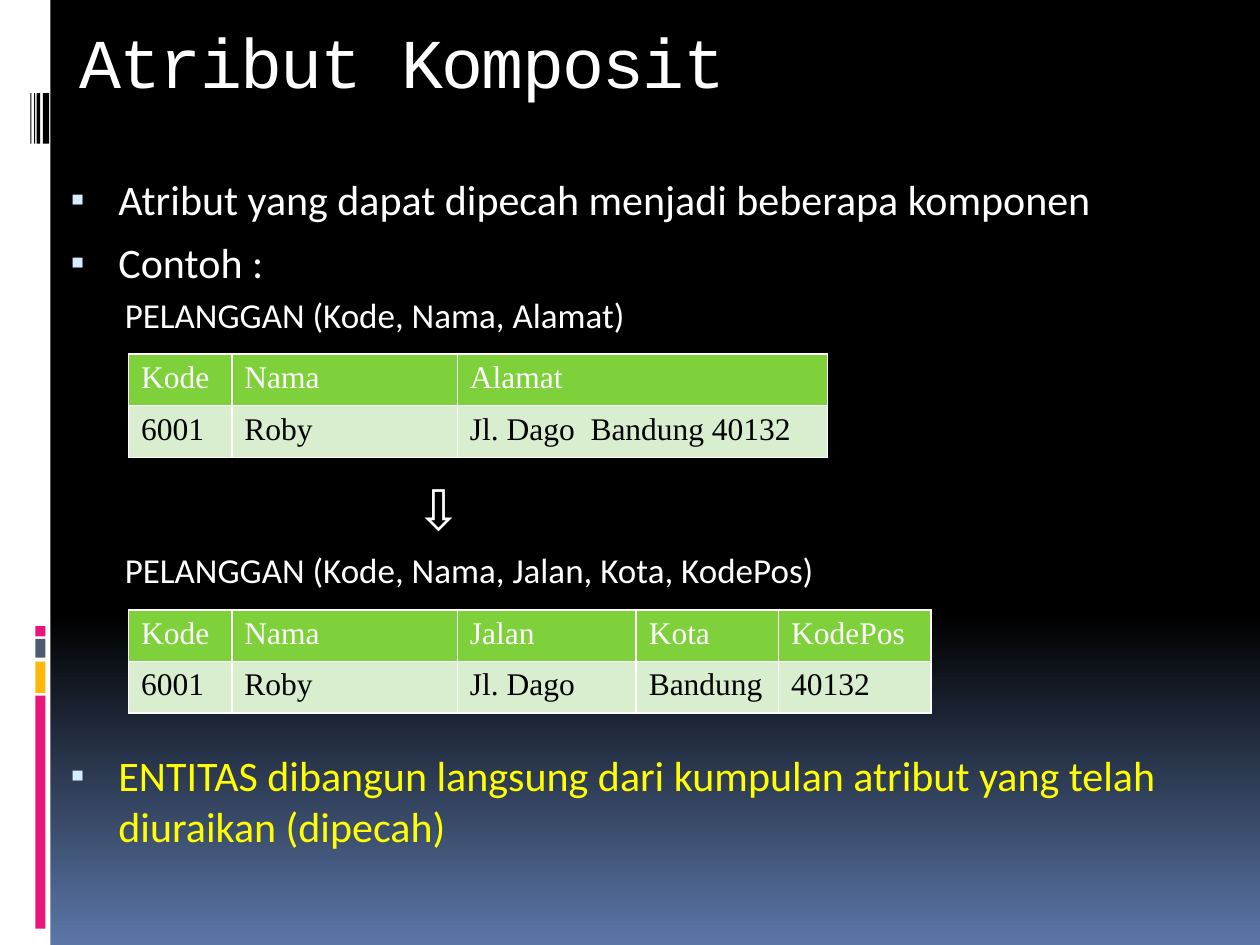
from copy import deepcopy

from lxml.etree import SubElement
from pptx import Presentation
from pptx.dml.color import RGBColor
from pptx.enum.shapes import MSO_SHAPE
from pptx.enum.text import MSO_ANCHOR, MSO_AUTO_SIZE, PP_ALIGN
from pptx.oxml.ns import qn
from pptx.util import Inches, Pt

COLORS = {
    "white": "FFFFFF", "black": "000000", "sky": "5B77A8", "pink": "EA157A",
    "amber": "FEB80A", "slate": "4E5B6F", "bullet": "D6ECFF",
    "yellow": "FFFF00", "header": "7FD13B", "row": "D8EECE",
}

TITLE = "Atribut Komposit"

# text, then its format
BODY = [
    ("Atribut yang dapat dipecah menjadi beberapa komponen", dict(bullet="▪")),
    ("Contoh :", dict(bullet="▪", before=7)),
    ("PELANGGAN (Kode, Nama, Alamat)", dict(level=1, size=20, before=4)),
    ("⇩", dict(level=1, size=32, before=79, left=2.81, hanging=0)),
    ("PELANGGAN (Kode, Nama, Jalan, Kota, KodePos)",
     dict(level=1, size=20, before=4)),
    ("ENTITAS dibangun langsung dari kumpulan atribut yang telah diuraikan (dipecah)",
     dict(bullet="▪", before=91, color="yellow")),
]

# top, column widths, rows
TABLES = [
    (2.81, [0.82, 1.79, 2.94],
     [["Kode", "Nama", "Alamat"],
      ["6001", "Roby", "Jl. Dago  Bandung 40132"]]),
    (4.84, [0.82, 1.79, 1.42, 1.13, 1.21],
     [["Kode", "Nama", "Jalan", "Kota", "KodePos"],
      ["6001", "Roby", "Jl. Dago", "Bandung", "40132"]]),
]
TABLE_LEFT, ROW_HEIGHT = 1.02, 0.41

# (top, height, color) of the stacked blocks; (left, width) of the thin bars
BLOCKS = [(5.52, 1.85, "pink"), (5.25, 0.25, "amber"),
          (5.07, 0.15, "slate"), (4.97, 0.08, "pink")]
BARS = [(0.34, 0.05), (0.29, 0.03), (0.27, 0.01), (0.24, 0.01)]


def rgb(name):
    return RGBColor.from_string(COLORS[name])


def write(paragraph, text, size=24, font="Calibri", color="white", level=0,
          bullet=None, before=0, left=None, hanging=None):
    """Fill a paragraph; left and hanging, in inches, set its indents."""
    paragraph.text = text
    paragraph.level = level
    paragraph.alignment = PP_ALIGN.LEFT
    paragraph.space_before = Pt(before)
    if left is not None:
        properties = paragraph._p.get_or_add_pPr()
        properties.set("marL", str(Inches(left)))
        properties.set("indent", str(-Inches(hanging)))
        if bullet:
            bullet_color = SubElement(properties, qn("a:buClr"))
            SubElement(bullet_color, qn("a:srgbClr"), val=COLORS["bullet"])
            SubElement(properties, qn("a:buSzPct"), val="95000")
            SubElement(properties, qn("a:buChar"), char=bullet)
        else:
            SubElement(properties, qn("a:buNone"))
    run_font = paragraph.runs[0].font
    run_font.size = Pt(size)
    run_font.name = font
    run_font.color.rgb = rgb(color)


def place(shape, left, top, width, height):
    shape.left, shape.top = Inches(left), Inches(top)
    shape.width, shape.height = Inches(width), Inches(height)
    frame = shape.text_frame
    frame.word_wrap = True
    frame.auto_size = MSO_AUTO_SIZE.NONE
    frame.vertical_anchor = MSO_ANCHOR.TOP
    return frame


def set_background(slide):
    fill = slide.background.fill
    fill.gradient()
    fill.gradient_angle = 270
    first, last = fill.gradient_stops
    first.color.rgb, first.position = rgb("black"), 0
    last.color.rgb, last.position = rgb("sky"), 1
    stops = slide.element.find(".//" + qn("a:gsLst"))
    middle = deepcopy(stops[0])
    middle.set("pos", "65000")
    stops.insert(1, middle)


def add_rectangle(slide, left, top, width, height, color):
    shape = slide.shapes.add_shape(
        MSO_SHAPE.RECTANGLE, Inches(left), Inches(top), Inches(width), Inches(height))
    shape.shadow.inherit = False
    shape.fill.solid()
    shape.fill.fore_color.rgb = rgb(color)
    shape.line.fill.background()


def add_borders(cell):
    properties = cell._tc.get_or_add_tcPr()
    for side in ("lnL", "lnR", "lnT", "lnB"):
        line = SubElement(properties, qn(f"a:{side}"), w=str(Pt(1)))
        fill = SubElement(line, qn("a:solidFill"))
        SubElement(fill, qn("a:srgbClr"), val=COLORS["white"])


def add_data_table(slide, top, widths, rows):
    table = slide.shapes.add_table(
        len(rows), len(widths), Inches(TABLE_LEFT), Inches(top),
        Inches(sum(widths)), Inches(ROW_HEIGHT * len(rows))).table
    for column, width in zip(table.columns, widths):
        column.width = Inches(width)
    for row_index, texts in enumerate(rows):
        fill, color = ("row", "black") if row_index else ("header", "white")
        for column_index, text in enumerate(texts):
            cell = table.cell(row_index, column_index)
            add_borders(cell)
            cell.fill.solid()
            cell.fill.fore_color.rgb = rgb(fill)
            paragraph = cell.text_frame.paragraphs[0]
            write(paragraph, text, size=18, font="Times New Roman", color=color)
            paragraph.runs[0].font.bold = False


def main():
    presentation = Presentation()
    presentation.slide_width, presentation.slide_height = Inches(10), Inches(7.5)
    slide = presentation.slides.add_slide(presentation.slide_layouts[1])
    set_background(slide)

    add_rectangle(slide, 0, 0, 0.4, 7.5, "white")
    for top, height, color in BLOCKS:
        add_rectangle(slide, 0.28, top, 0.08, height, color)
    for left, width in BARS:
        add_rectangle(slide, left, 0.74, width, 0.4, "black")

    title = place(slide.shapes.title, 0.53, 0, 9, 1.25)
    title.margin_top = Inches(0.15)
    write(title.paragraphs[0], TITLE, size=40, font="Courier New")
    title.paragraphs[0].runs[0].font._element.set("spc", "-100")

    body = place(slide.placeholders[1], 0.39, 1.33, 9, 6.09)
    for index, (text, options) in enumerate(BODY):
        paragraph = body.add_paragraph() if index else body.paragraphs[0]
        indents = (dict(left=0.45, hanging=0.38) if "bullet" in options
                   else dict(left=0.5, hanging=0))
        write(paragraph, text, **{**indents, **options})

    for top, widths, rows in TABLES:
        add_data_table(slide, top, widths, rows)
    presentation.save("out.pptx")


if __name__ == "__main__":
    main()
